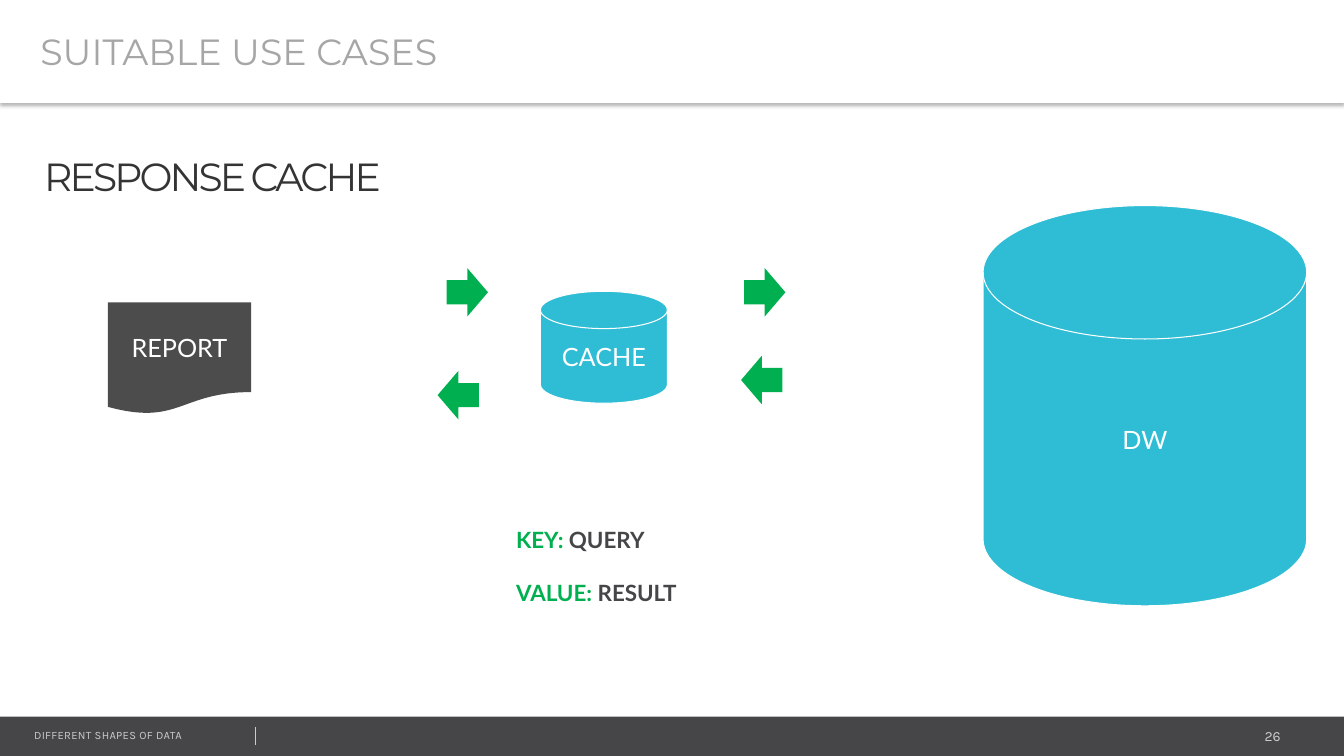
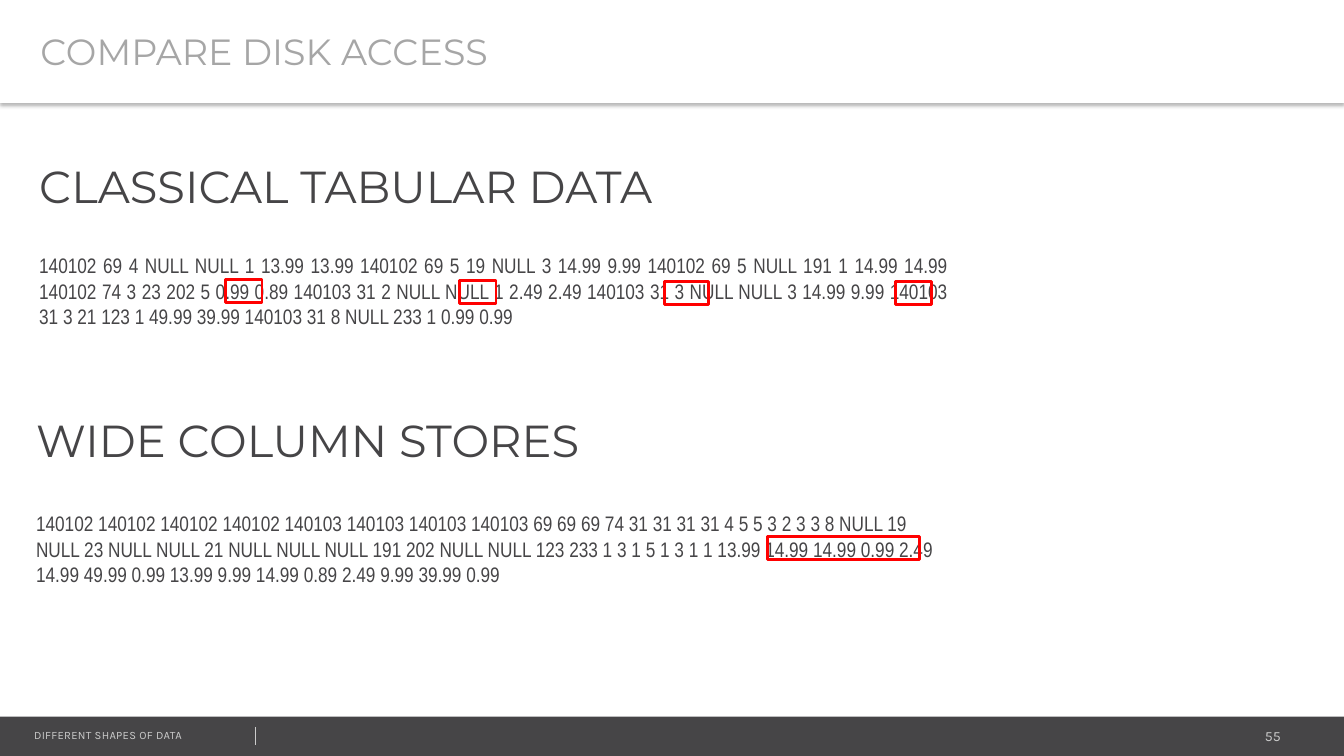
"""Build two slides on data shapes: a response cache and a disk access comparison."""
from lxml.etree import SubElement
from pptx import Presentation
from pptx.dml.color import RGBColor
from pptx.enum.shapes import MSO_CONNECTOR, MSO_SHAPE as Preset
from pptx.enum.text import MSO_ANCHOR as Anchor, MSO_AUTO_SIZE as Fit, PP_ALIGN as Align
from pptx.oxml.ns import qn
from pptx.util import Inches, Pt

COLOURS = {
    "white": "FFFFFF", "black": "000000", "band": "464547", "footer": "CCCCCC",
    "title": "A6A6A6", "subtitle": "353435", "text": "464547", "disk": "2FBDD5",
    "report": "4C4C4C", "green": "00B050", "red": "FF0000",
}
STYLES = {
    "title": {"name": "Montserrat", "size": Pt(26)},
    "subtitle": {"name": "Montserrat", "size": Pt(28)},
    "heading": {"name": "Montserrat", "size": Pt(32)},
    "label": {"name": "Lato", "size": Pt(18)},
    "pair": {"name": "Lato", "size": Pt(16), "bold": True},
    "data": {"name": "Arial Narrow", "size": Pt(15)},
    "number": {"name": "Karla", "size": Pt(10)},
    "footer": {"name": "Karla", "size": Pt(8)},
}
ROW_DATA = (
    "140102 69 4 NULL NULL 1 13.99 13.99 140102 69 5 19 NULL 3 14.99 9.99 "
    "140102 69 5 NULL 191 1 14.99 14.99 140102 74 3 23 202 5 0.99 0.89 "
    "140103 31 2 NULL NULL 1 2.49 2.49 140103 31 3 NULL NULL 3 14.99 9.99 "
    "140103 31 3 21 123 1 49.99 39.99 140103 31 8 NULL 233 1 0.99 0.99"
)
COLUMN_DATA = (
    "140102 140102 140102 140102 140103 140103 140103 140103 "
    "69 69 69 74 31 31 31 31 4 5 5 3 2 3 3 8 "
    "NULL 19 NULL 23 NULL NULL 21 NULL NULL NULL 191 202 NULL NULL 123 233 "
    "1 3 1 5 1 3 1 1 13.99 14.99 14.99 0.99 2.49 14.99 49.99 0.99 "
    "13.99 9.99 14.99 0.89 2.49 9.99 39.99 0.99"
)


def colour(name):
    """Return the named colour."""
    return RGBColor.from_string(COLOURS[name])


def apply(target, formats):
    """Set each attribute in formats on the target."""
    for name, value in formats.items():
        setattr(target, name, value)


def place(at):
    """Turn left, top, width and height in inches into lengths."""
    return [Inches(value) for value in at]


def add_span(para, text, style, shade, spacing=0):
    """Add a formatted run, with letter spacing in points."""
    span = para.add_run()
    span.text = text
    apply(span.font, STYLES[style])
    span.font.color.rgb = colour(shade)
    if spacing:
        span._r.get_or_add_rPr().set("spc", str(round(spacing * 100)))


def add_text(shapes, at, lines, style, spacing=0, **formats):
    """Add a text box whose lines are lists of text and colour pairs."""
    box = shapes.add_textbox(*place(at))
    frame = box.text_frame
    apply(frame, {"word_wrap": True, "auto_size": Fit.SHAPE_TO_FIT_TEXT})
    for index, line in enumerate(lines):
        para = frame.add_paragraph() if index else frame.paragraphs[0]
        apply(para, formats)
        for text, shade in line:
            add_span(para, text, style, shade, spacing)


def add_figure(shapes, preset, at, fill=None, line=None, weight=0.75, label="", turn=0):
    """Add a preset shape with an optional fill, outline, label and rotation."""
    figure = shapes.add_shape(preset, *place(at))
    figure.shadow.inherit = False
    figure.rotation = turn
    if fill:
        figure.fill.solid()
        figure.fill.fore_color.rgb = colour(fill)
    else:
        figure.fill.background()
    if line:
        figure.line.color.rgb = colour(line)
        figure.line.width = Pt(weight)
    else:
        figure.line.fill.background()
    if label:
        figure.text_frame.vertical_anchor = Anchor.MIDDLE
        para = figure.text_frame.paragraphs[0]
        para.alignment = Align.CENTER
        add_span(para, label, "label", "white")


def add_shadow(shape):
    """Give the shape a soft shadow below."""
    effects = SubElement(shape._element.spPr, qn("a:effectLst"))
    shadow = SubElement(effects, qn("a:outerShdw"), blurRad=str(Pt(3.1)),
                        dist=str(Pt(2)), dir="5400000", algn="t", rotWithShape="0")
    tint = SubElement(shadow, qn("a:srgbClr"), val=COLOURS["black"])
    SubElement(tint, qn("a:alpha"), val="30000")


def add_title(page, text):
    """Format the title placeholder as the band across the top."""
    title = page.shapes.title
    left, top, width, height = place((0, 0, 13.33, 1.02))
    apply(title, {"left": left, "top": top, "width": width, "height": height})
    title.fill.solid()
    title.fill.fore_color.rgb = colour("white")
    add_shadow(title)
    apply(title.text_frame, {
        "margin_left": Inches(0.4), "margin_right": Inches(0.1),
        "margin_top": Inches(0.05), "margin_bottom": Inches(0.05),
        "vertical_anchor": Anchor.MIDDLE, "auto_size": Fit.NONE, "word_wrap": True,
    })
    para = title.text_frame.paragraphs[0]
    para.alignment = Align.LEFT
    add_span(para, text, "title", "title")


def add_footer(page, number):
    """Add the footer band, deck name, divider and page number."""
    shapes = page.shapes
    add_figure(shapes, Preset.RECTANGLE, (0, 7.11, 13.33, 0.4), "band")
    add_text(shapes, (10.62, 7.17, 2.18, 0.27), [[(str(number), "footer")]],
             "number", alignment=Align.RIGHT)
    add_text(shapes, (0.24, 7.18, 3.38, 0.24),
             [[("DIFFERENT SHAPES OF DATA", "footer")]], "footer", spacing=0.2)
    divider = shapes.add_connector(MSO_CONNECTOR.STRAIGHT, *place((2.53, 7.21, 2.53, 7.39)))
    divider.line.color.rgb = colour("footer")
    divider.line.width = Pt(0.25)
    SubElement(divider._element.spPr, qn("a:effectLst"))


def add_page(deck, title, number):
    """Add a page with the shared title and footer."""
    page = deck.slides.add_slide(deck.slide_layouts[5])
    add_footer(page, number)
    add_title(page, title)
    return page


def add_storage(page, heading, heading_at, data, data_at, marks, alignment):
    """Add a group of a heading, stored values and marked reads."""
    shapes = page.shapes.add_group_shape().shapes
    add_text(shapes, data_at, [[(data, "text")]], "data", alignment=alignment)
    for left, top, width in marks:
        add_figure(shapes, Preset.RECTANGLE, (left, top, width, 0.23), line="red", weight=2)
    add_text(shapes, heading_at, [[(heading, "text")]], "heading")


def build_cache(deck):
    """Build the response cache page."""
    shapes = add_page(deck, "SUITABLE USE CASES", 26).shapes
    add_text(shapes, (0.34, 0.99, 8.74, 0.91), [[("RESPONSE CACHE", "subtitle")]],
             "subtitle", spacing=-2, line_spacing=2.0)
    for label, at in (("DW", (9.75, 2.04, 3.21, 3.97)), ("CACHE", (5.36, 2.89, 1.26, 1.11))):
        add_figure(shapes, Preset.FLOWCHART_MAGNETIC_DISK, at, "disk", "white", label=label)
    add_figure(shapes, Preset.FLOWCHART_DOCUMENT, (1.07, 3, 1.42, 1.11), "report",
               label="REPORT")
    for left, top, turn in ((4.43, 2.66, 0), (4.34, 3.68, 180),
                            (7.38, 2.66, 0), (7.35, 3.53, 180)):
        add_figure(shapes, Preset.RIGHT_ARROW, (left, top, 0.41, 0.48), "green", turn=turn)
    pairs = (("KEY: ", "QUERY"), ("VALUE: ", "RESULT"))
    add_text(shapes, (5.02, 4.9, 1.95, 1.11),
             [[(name, "green"), (value, "text")] for name, value in pairs],
             "pair", line_spacing=2.0)


def build_access(deck):
    """Build the disk access comparison page."""
    page = add_page(deck, "COMPARE DISK ACCESS", 55)
    add_storage(page, "CLASSICAL TABULAR DATA", (0.29, 1.53, 7.11, 0.64),
                ROW_DATA, (0.29, 2.46, 9.22, 0.61),
                ((2.24, 2.77, 0.36), (4.56, 2.78, 0.36),
                 (6.59, 2.79, 0.44), (8.88, 2.79, 0.36)), Align.JUSTIFY)
    add_storage(page, "WIDE COLUMN STORES", (0.26, 4.05, 5.98, 0.64),
                COLUMN_DATA, (0.26, 5.02, 9.16, 0.61), ((7.61, 5.32, 1.51),), Align.LEFT)


def main():
    """Build and save the deck."""
    deck = Presentation()
    apply(deck, {"slide_width": Inches(13.33), "slide_height": Inches(7.5)})
    build_cache(deck)
    build_access(deck)
    deck.save("out.pptx")


if __name__ == "__main__":
    main()
